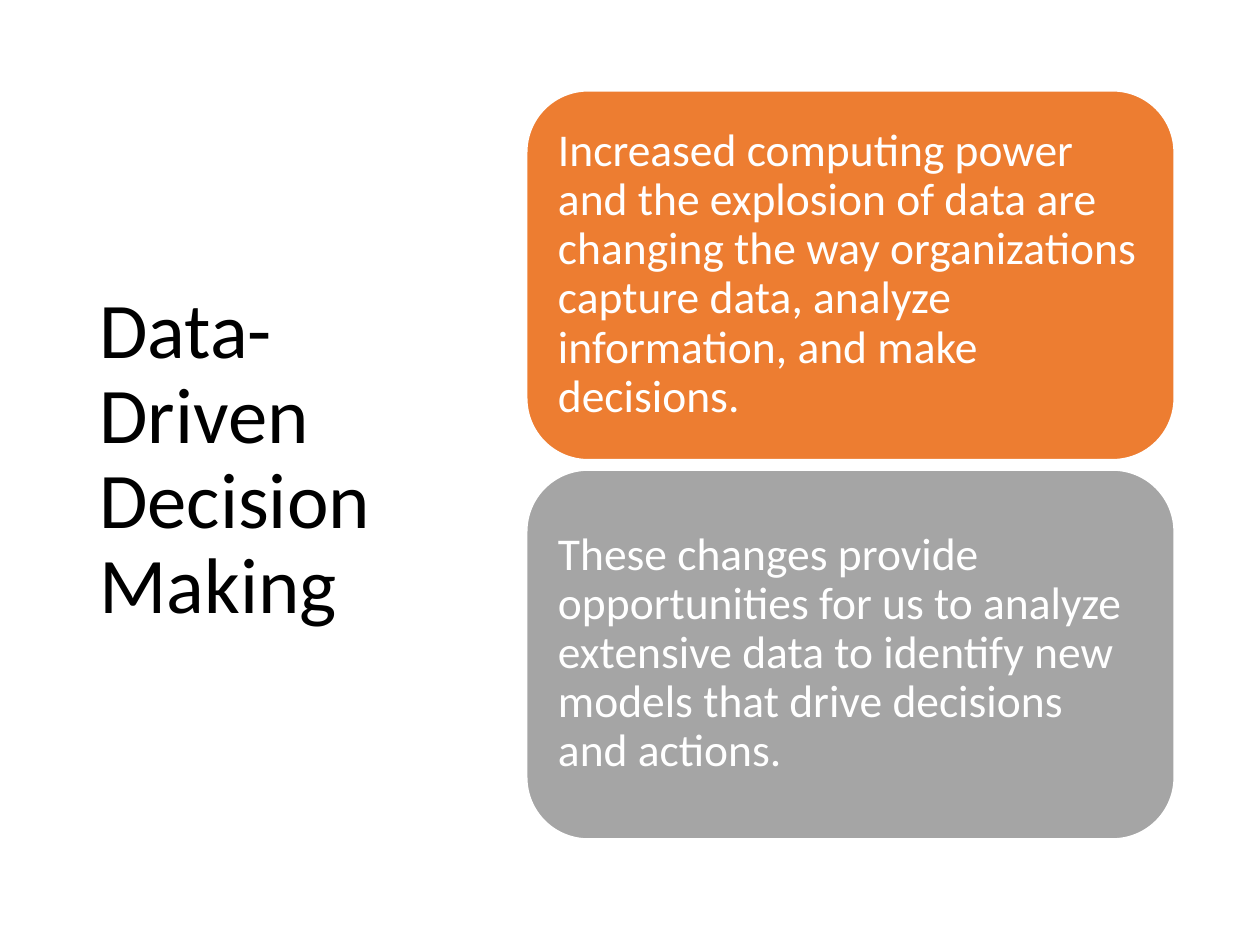
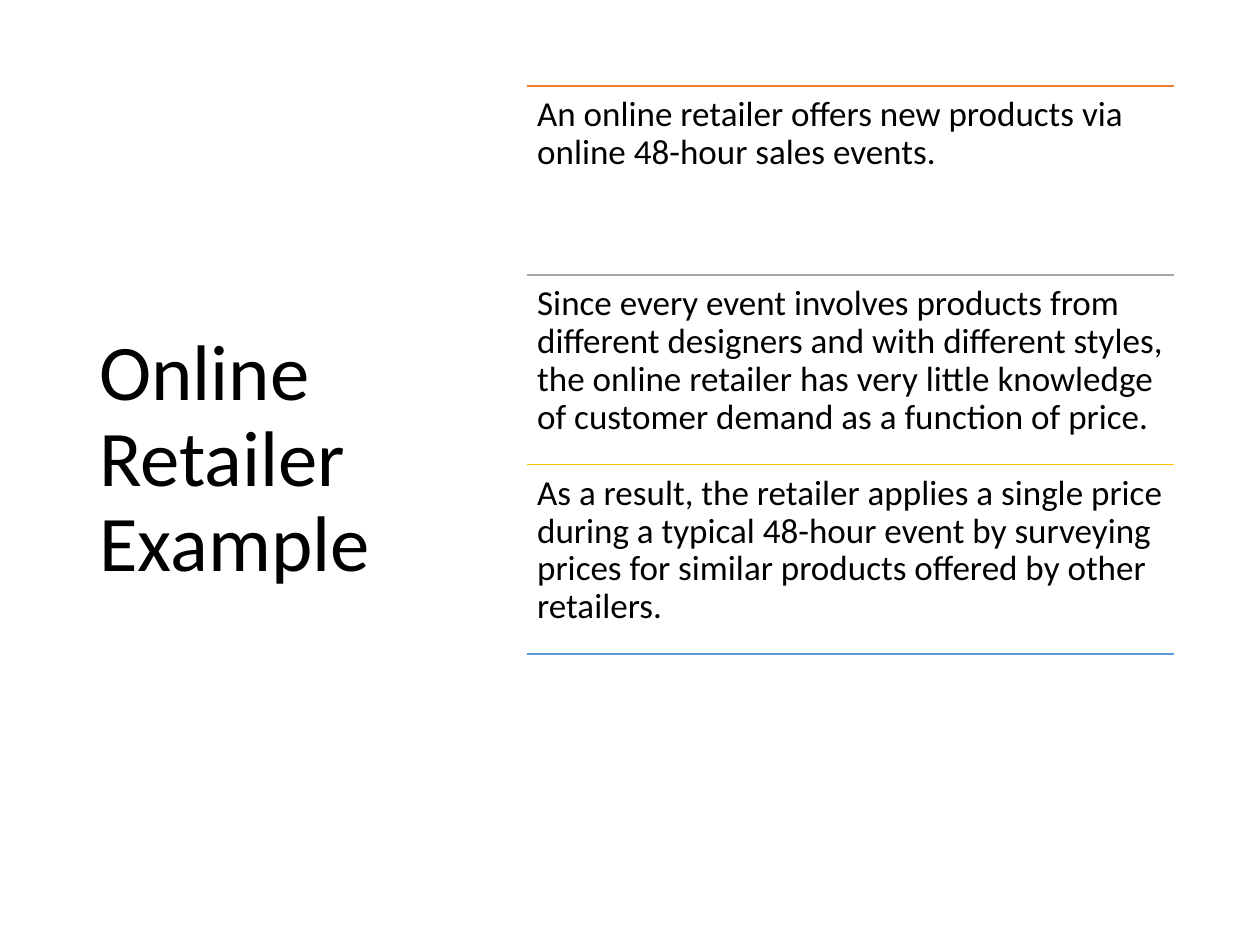
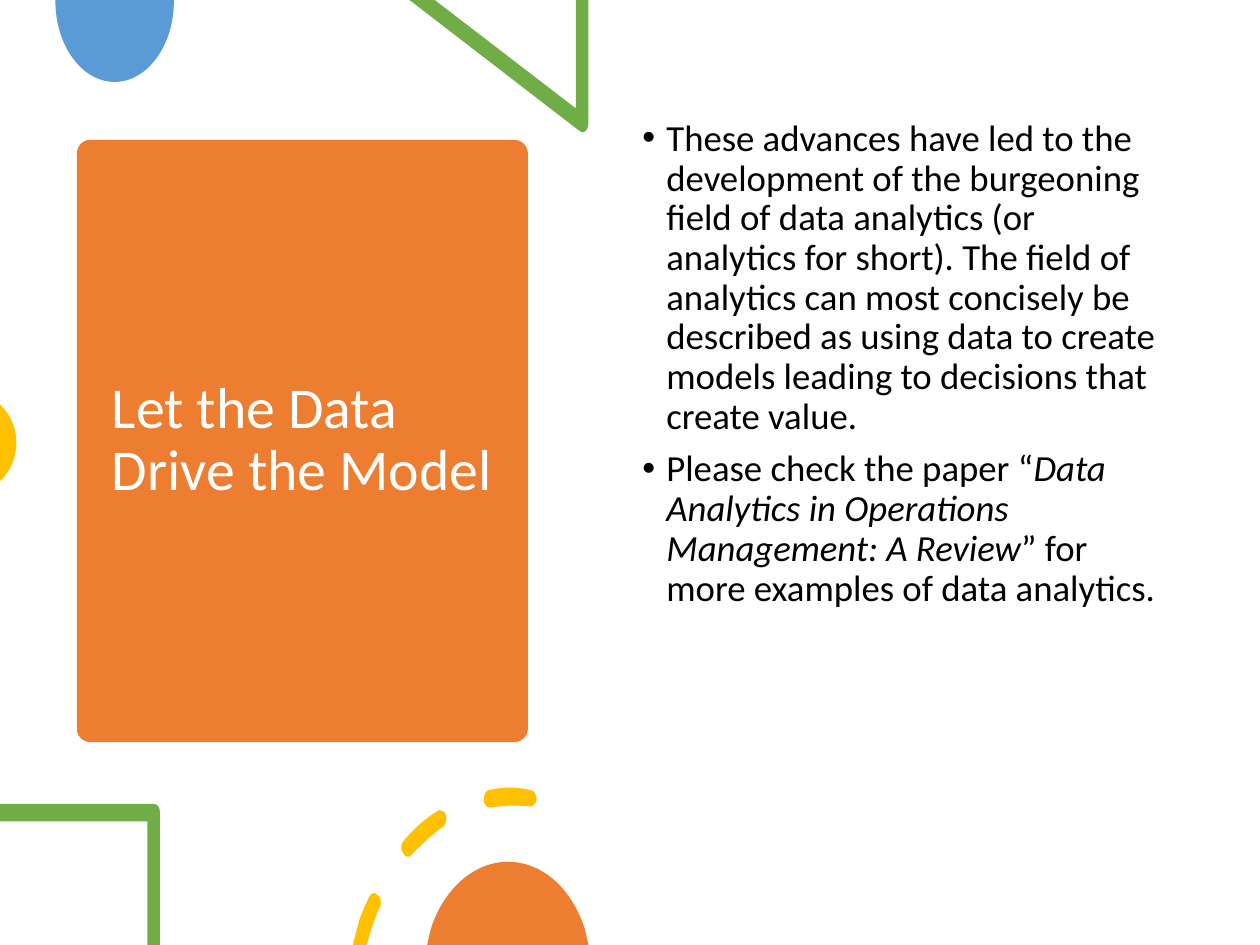
from dataclasses import dataclass

from lxml.etree import SubElement as Sub
from pptx import Presentation
from pptx.dml.color import RGBColor as Rgb
from pptx.enum.shapes import MSO_CONNECTOR as Conn, MSO_SHAPE as Kind
from pptx.enum.text import MSO_ANCHOR as Anchor, PP_ALIGN as Align
from pptx.oxml.ns import qn
from pptx.util import Inches, Pt


@dataclass(frozen=True)
class Theme:
    font: str = "Calibri"
    black: str = "000000"
    white: str = "FFFFFF"
    orange: str = "ED7D31"
    gray: str = "A5A5A5"
    gold: str = "FFC000"
    blue: str = "5B9BD5"
    green: str = "70AD47"
    title: int = 45
    label: int = 33
    card: int = 26
    body: int = 21
    row: int = 20
    rule: int = 1


T = Theme()
SIDE = (0.69, 0.61, 2.77, 6.09)
LEFT, WIDE = 4.18, 5.14

CARDS = [
    ("Increased computing power and the explosion of data are changing the way "
     "organizations capture data, analyze information, and make decisions.", T.orange),
    ("These changes provide opportunities for us to analyze extensive data to "
     "identify new models that drive decisions and actions.", T.gray),
]
ROWS = [
    "An online retailer offers new products via online 48-hour sales events.",
    "Since every event involves products from different designers and with different "
    "styles, the online retailer has very little knowledge of customer demand as a "
    "function of price.",
    "As a result, the retailer applies a single price during a typical 48-hour event "
    "by surveying prices for similar products offered by other retailers.",
]
RULES = [T.orange, T.gray, T.gold, T.blue]
POINTS = [
    [("These advances have led to the development of the burgeoning field of data "
      "analytics (or analytics for short). The field of analytics can most concisely "
      "be described as using data to create models leading to decisions that create "
      "value.", False)],
    [("Please check the paper “", False),
     ("Data Analytics in Operations Management: A Review", True),
     ("” for more examples of data analytics.", False)],
]

DISC = [(1.38, 0), (0.44, 0), (0.44, 0.01), (0.44, 0.36, 0.65, 0.65, 0.91, 0.65),
        (1.17, 0.65, 1.38, 0.36, 1.38, 0.01)]
WEDGE = [(4.67, 0), (4.57, 0), (4.57, 0.86), (3.45, 0), (3.25, 0), (4.6, 1.04),
         (4.61, 1.05, 4.61, 1.05, 4.62, 1.05), (4.65, 1.05, 4.67, 1.02, 4.67, 0.98)]
DOT = [(0, 3.21), (0, 3.82), (0.01, 3.81), (0.08, 3.74, 0.13, 3.64, 0.13, 3.51),
       (0.13, 3.39, 0.08, 3.29, 0.01, 3.22)]
FRAME = [(1.22, 6.38), (0, 6.38), (0, 6.52), (1.17, 6.52), (1.17, 7.5), (1.27, 7.5),
         (1.27, 6.45), (1.27, 6.41, 1.25, 6.38, 1.22, 6.38)]
LOW = [(2.98, 7.09), (2.96, 7.08, 2.94, 7.1, 2.93, 7.12),
       (2.9, 7.18, 2.87, 7.25, 2.85, 7.31), (2.8, 7.5), (2.91, 7.5), (2.95, 7.37),
       (2.97, 7.31, 2.99, 7.25, 3.02, 7.19), (3.03, 7.16, 3.02, 7.11, 2.99, 7.1),
       (2.99, 7.09, 2.98, 7.09, 2.98, 7.09)]
MID = [(3.49, 6.43), (3.48, 6.43, 3.48, 6.43, 3.47, 6.44),
       (3.37, 6.5, 3.28, 6.58, 3.2, 6.68), (3.18, 6.7, 3.18, 6.75, 3.2, 6.77),
       (3.21, 6.79, 3.22, 6.8, 3.24, 6.8), (3.24, 6.8),
       (3.25, 6.8, 3.26, 6.79, 3.27, 6.78), (3.35, 6.7, 3.43, 6.62, 3.52, 6.56),
       (3.54, 6.54, 3.55, 6.5, 3.54, 6.47), (3.53, 6.44, 3.51, 6.43, 3.49, 6.43)]
TOP = [(4.05, 6.25), (3.99, 6.25, 3.94, 6.26, 3.88, 6.27),
       (3.86, 6.27, 3.84, 6.31, 3.84, 6.35), (3.84, 6.38, 3.86, 6.41, 3.89, 6.41),
       (3.89, 6.41, 3.9, 6.41, 3.9, 6.41), (4, 6.39, 4.1, 6.39, 4.2, 6.4),
       (4.23, 6.41, 4.25, 6.38, 4.26, 6.35), (4.26, 6.31, 4.24, 6.27, 4.21, 6.27),
       (4.21, 6.27, 4.21, 6.27, 4.21, 6.27), (4.16, 6.26, 4.1, 6.25, 4.05, 6.25)]
DOME = [(4.03, 6.84), (3.76, 6.84, 3.52, 7.06, 3.42, 7.37), (3.39, 7.5), (4.67, 7.5),
        (4.64, 7.37), (4.54, 7.06, 4.31, 6.84, 4.03, 6.84)]
BACK = [([DISC], T.blue), ([WEDGE], T.green), ([DOT], T.gold)]
FRONT = [([FRAME], T.green), ([LOW, MID, TOP], T.gold), ([DOME], T.orange)]


def put(obj, form):
    for key, val in form.items():
        setattr(obj, key, val)


def write(slide, at, paras, size, color, anchor=Anchor.TOP, pad=(7.2, 3.6), gap=0):
    frame = slide.shapes.add_textbox(*map(Inches, at)).text_frame
    x, y = map(Pt, pad)
    put(frame, dict(word_wrap=True, vertical_anchor=anchor, margin_left=x,
                    margin_right=x, margin_top=y, margin_bottom=y))
    for i, runs in enumerate(paras):
        para = frame.add_paragraph() if i else frame.paragraphs[0]
        put(para, dict(alignment=Align.LEFT, line_spacing=0.9, space_before=Pt(gap)))
        for text, slant in runs:
            run = para.add_run()
            run.text = text
            put(run.font, dict(name=T.font, size=Pt(size), italic=slant))
            run.font.color.rgb = Rgb.from_string(color)
    return frame


def title(slide, text, at=SIDE, size=T.title, color=T.black):
    write(slide, at, [[(text, False)]], size, color, Anchor.MIDDLE)


def paint(shape, fill, edge=None):
    shape.shadow.inherit = False
    shape.fill.solid()
    shape.fill.fore_color.rgb = Rgb.from_string(fill)
    if edge:
        shape.line.color.rgb = Rgb.from_string(edge)
        shape.line.width = Pt(T.rule)
    else:
        shape.line.fill.background()


def panel(slide, at, fill, edge=None):
    shape = slide.shapes.add_shape(Kind.ROUNDED_RECTANGLE, *map(Inches, at))
    paint(shape, fill, edge)
    return shape


def rule(slide, y, color):
    ends = map(Inches, (LEFT, y, LEFT + WIDE, y))
    line = slide.shapes.add_connector(Conn.STRAIGHT, *ends)
    line.line.color.rgb = Rgb.from_string(color)
    line.line.width = Pt(T.rule)
    Sub(line._element.spPr, qn("a:effectLst"))


def pairs(step):
    return [(Inches(x), Inches(y)) for x, y in zip(step[::2], step[1::2])]


def bend(shape, steps):
    lines = list(shape._element.iter(qn("a:lnTo")))
    for line, step in zip(lines, steps):
        if len(step) == 2:
            continue
        line.tag = qn("a:cubicBezTo")
        line.clear()
        for x, y in pairs(step):
            Sub(line, qn("a:pt"), x=str(x - shape.left), y=str(y - shape.top))


def draw(slide, loops, fill):
    pen = None
    for loop in loops:
        start, *ends = [pairs(step)[-1] for step in loop]
        if pen:
            pen.move_to(*start)
        else:
            pen = slide.shapes.build_freeform(*start)
        pen.add_line_segments(ends, close=True)
    shape = pen.convert_to_shape()
    bend(shape, [step for loop in loops for step in loop[1:]])
    paint(shape, fill)


def drive(slide):
    title(slide, "Data-Driven Decision Making")
    for i, (text, fill) in enumerate(CARDS):
        top = 0.72 + i * 3.01
        panel(slide, (LEFT, top, WIDE, 2.93), fill, T.white)
        write(slide, (LEFT + 0.14, top + 0.14, 4.85, 2.64), [[(text, False)]],
              T.card, T.white, Anchor.MIDDLE, (7.8, 7.8))


def retail(slide):
    title(slide, "Online Retailer Example")
    step = 4.51 / len(ROWS)
    tops = [0.68 + i * step for i in range(len(RULES))]
    for y, color in zip(tops, RULES):
        rule(slide, y, color)
    for y, text in zip(tops, ROWS):
        write(slide, (LEFT, y, WIDE, step), [[(text, False)]], T.row, T.black,
              pad=(6, 6))


def model(slide):
    panel(slide, (0.61, 1.11, 3.58, 4.78), T.orange).adjustments[0] = 0.03
    title(slide, "Let the Data Drive the Model", (0.79, 1.22, 3.23, 4.56),
          T.label, T.white)
    for loops, fill in BACK:
        draw(slide, loops, fill)
    body = write(slide, (5, 0.9, 4.31, 5.35), POINTS, T.body, T.black, gap=7.5)
    for para in body.paragraphs:
        props = para._p.get_or_add_pPr()
        props.set("marL", str(Inches(0.19)))
        props.set("indent", str(Inches(-0.19)))
        Sub(props, qn("a:buFont"), typeface="Arial")
        Sub(props, qn("a:buChar"), char="•")
    for loops, fill in FRONT:
        draw(slide, loops, fill)


def main():
    deck = Presentation()
    put(deck, dict(slide_width=Inches(10), slide_height=Inches(7.5)))
    for fill in (drive, retail, model):
        fill(deck.slides.add_slide(deck.slide_layouts[6]))
    deck.save("out.pptx")


if __name__ == "__main__":
    main()
